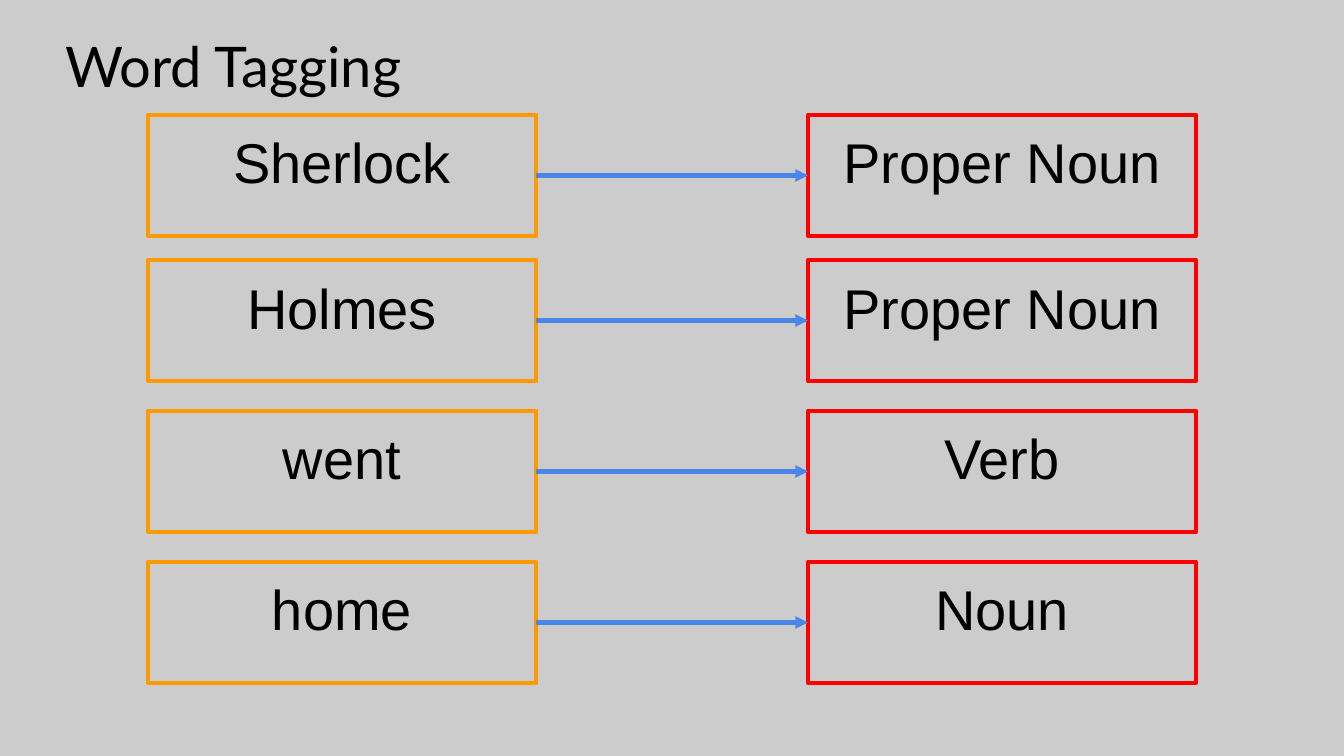
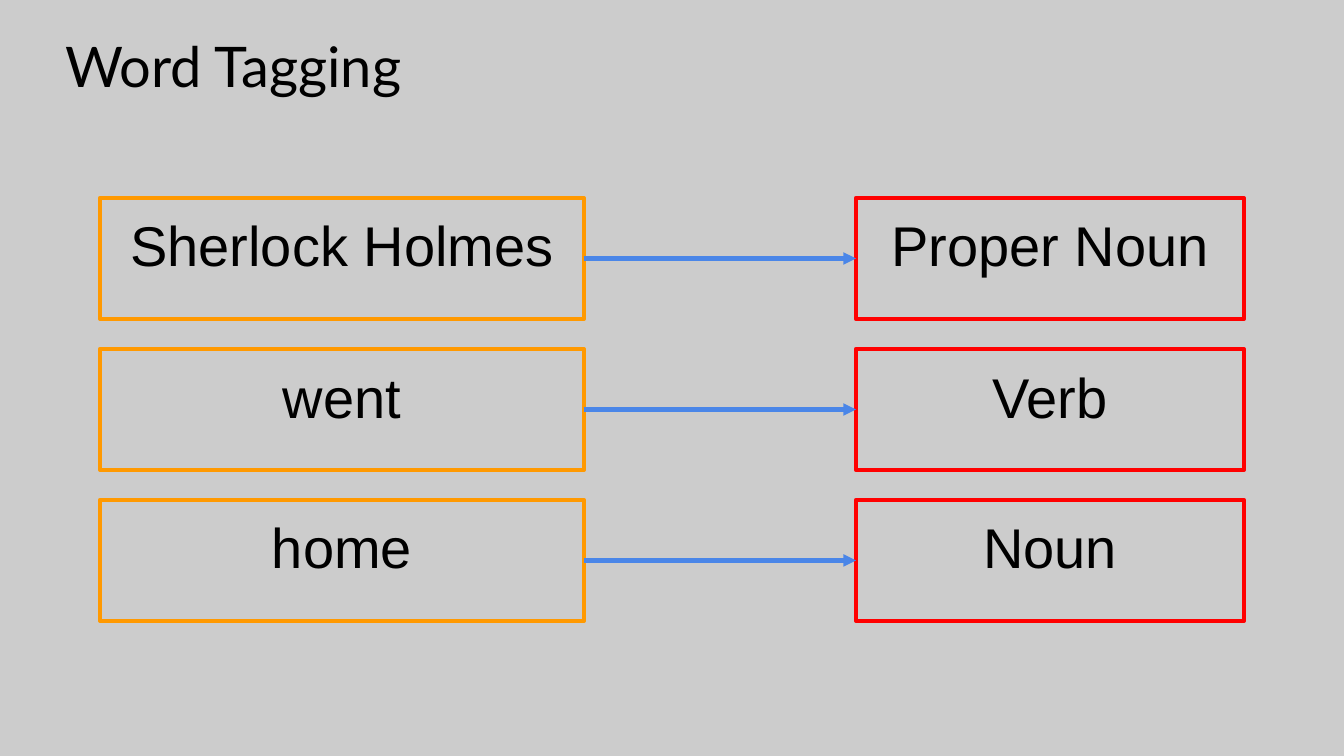
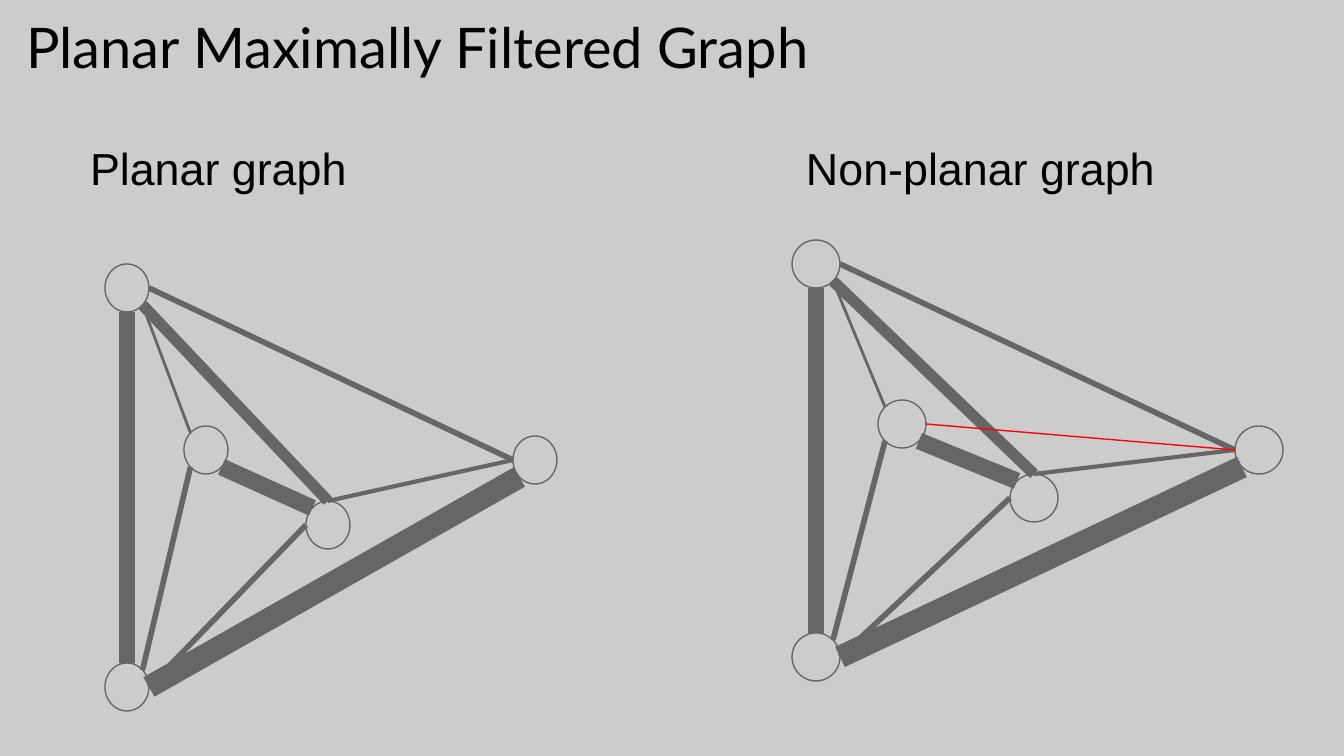
from math import cos, radians, sin

from pptx import Presentation
from pptx import util as u
from pptx.dml.color import RGBColor
from pptx.enum import shapes, text
from pptx.oxml.ns import qn
from lxml import etree

PX = 914400 / 134.4
SLIDE_SIZE = 1344, 756
GREY = RGBColor(0xCC, 0xCC, 0xCC)
DARK = RGBColor(0x66, 0x66, 0x66)
ORANGE = RGBColor(0xFF, 0x99, 0x00)
RED = RGBColor(0xFF, 0x00, 0x00)
BLUE = RGBColor(0x4A, 0x86, 0xE8)
BLACK = RGBColor(0x00, 0x00, 0x00)

INSET = 13
ROW_HEIGHT = 121
TAG_WIDTH = 388
COMPASS = {name: 45 * step for step, name in
           enumerate(("E", "SE", "S", "SW", "W", "NW", "N", "NE"))}
EDGES = [
    ("top", "SE", "middle", "NW", 1.5),
    ("right", "W", "hub", "N", 2.25),
    ("right", "W", "top", "E", 3),
    ("top", "S", "bottom", "N", 9),
    ("bottom", "NE", "middle", "SW", 3),
    ("bottom", "E", "hub", "W", 3),
    ("hub", "NW", "middle", "SE", 9),
    ("top", "SE", "hub", "N", 6),
    ("bottom", "E", "right", "SW", 12),
]


def px(length):
    """Convert pixels to EMU."""
    return u.Emu(round(length * PX))


def scaled(box):
    """Convert every length of a box to EMU."""
    return [px(length) for length in box]


def write(frame, words, size=30, font="Arial", align=text.PP_ALIGN.LEFT, before=None):
    """Put one formatted paragraph into a text frame."""
    frame.word_wrap = True
    frame.vertical_anchor = text.MSO_ANCHOR.TOP
    frame.margin_left = frame.margin_right = px(INSET)
    frame.margin_top = frame.margin_bottom = px(INSET)
    paragraph = frame.paragraphs[0]
    paragraph.alignment = align
    if before is not None:
        paragraph.space_before = u.Pt(before)
    run = paragraph.add_run()
    run.text = words
    run.font.size = u.Pt(size)
    run.font.name = font
    run.font.color.rgb = BLACK


def add_label(slide, box, words, **style):
    """Add a text box."""
    write(slide.shapes.add_textbox(*scaled(box)).text_frame, words, **style)


def add_outline(slide, kind, box, color, width):
    """Add an unshadowed preset shape with a coloured outline."""
    shape = slide.shapes.add_shape(kind, *scaled(box))
    shape.shadow.inherit = False
    shape.line.color.rgb = color
    shape.line.width = u.Pt(width)
    return shape


def add_word_box(slide, box, words, color):
    """Add an unfilled rectangle with a centred word."""
    rectangle = add_outline(slide, shapes.MSO_SHAPE.RECTANGLE, box, color, 2.25)
    rectangle.fill.background()
    write(rectangle.text_frame, words, align=text.PP_ALIGN.CENTER)
    return rectangle


def add_line(slide, start, end, color, width):
    """Add a straight connector without a shadow."""
    line = slide.shapes.add_connector(
        shapes.MSO_CONNECTOR.STRAIGHT, *scaled(start), *scaled(end))
    line.line.color.rgb = color
    line.line.width = u.Pt(width)
    etree.SubElement(line._element.spPr, qn("a:effectLst"))
    return line


def add_arrow(slide, source, target):
    """Join two rectangles with an arrow from right side to left side."""
    arrow = add_line(slide, (0, 0), (1, 1), BLUE, 2.25)
    arrow.begin_connect(source, 3)
    arrow.end_connect(target, 1)
    etree.SubElement(arrow.line._get_or_add_ln(), qn("a:tailEnd"), type="triangle")


def add_tag_row(slide, left, top, width, word_width, word, tag):
    """Place a word, its tag and the arrow between them."""
    source = add_word_box(slide, (left, top, word_width, ROW_HEIGHT), word, ORANGE)
    target = add_word_box(
        slide, (left + width - TAG_WIDTH, top, TAG_WIDTH, ROW_HEIGHT), tag, RED)
    add_arrow(slide, source, target)


def add_graph(slide, left, top, node_size, offsets, extra_edges=()):
    """Draw the nodes and weighted edges of a graph from its top left corner."""
    width, height = node_size
    nodes = {name: (left + x, top + y) for name, (x, y) in offsets.items()}

    def site(name, direction):
        """Find a compass point on a node's rim."""
        x, y = nodes[name]
        angle = radians(COMPASS[direction])
        return x + width / 2 * (1 + cos(angle)), y + height / 2 * (1 + sin(angle))

    for corner in nodes.values():
        node = add_outline(
            slide, shapes.MSO_SHAPE.OVAL, (*corner, width, height), DARK, 0.75)
        node.fill.solid()
        node.fill.fore_color.rgb = GREY
    colored = [(edge, DARK) for edge in EDGES] + [(edge, RED) for edge in extra_edges]
    for (start, leave, end, arrive, weight), color in colored:
        add_line(slide, site(start, leave), site(end, arrive), color, weight)


def add_slide(deck, title, box, **style):
    """Add a grey slide with a title."""
    slide = deck.slides.add_slide(deck.slide_layouts[6])
    slide.background.fill.solid()
    slide.background.fill.fore_color.rgb = GREY
    add_label(slide, box, title, font="Lato", **style)
    return slide


def add_tagging_slide(deck, left, word_width, rows):
    """Build a slide of tagged words, centred across the slide."""
    slide = add_slide(deck, "Word Tagging", (52, 19, 684, 121))
    for top, word, tag in rows:
        add_tag_row(slide, left, top, SLIDE_SIZE[0] - 2 * left, word_width, word, tag)


def add_graph_slide(deck):
    """Build the comparison of a planar and a non-planar graph."""
    slide = add_slide(
        deck, "Planar Maximally Filtered Graph", (13, 0, 993, 112), before=6)
    add_label(slide, (77, 128, 337, 95), "Planar graph", size=24)
    add_graph(slide, 105, 264, (44, 48), {
        "top": (0, 0), "middle": (79, 162), "right": (408, 172),
        "hub": (201, 237), "bottom": (0, 399)})
    add_label(slide, (793, 128, 474, 95), "Non-planar graph", size=24)
    add_graph(slide, 792, 240, (48, 48), {
        "top": (0, 0), "middle": (86, 160), "right": (443, 186),
        "hub": (218, 234), "bottom": (0, 393)},
        extra_edges=[("middle", "E", "right", "W", 0.75)])


def main():
    """Build and save the deck."""
    deck = Presentation()
    deck.slide_width, deck.slide_height = scaled(SLIDE_SIZE)
    add_tagging_slide(deck, 148, 388, [
        (115, "Sherlock", "Proper Noun"),
        (260, "Holmes", "Proper Noun"),
        (411, "went", "Verb"),
        (562, "home", "Noun")])
    add_tagging_slide(deck, 100, 484, [
        (198, "Sherlock Holmes", "Proper Noun"),
        (349, "went", "Verb"),
        (500, "home", "Noun")])
    add_graph_slide(deck)
    deck.save("out.pptx")


if __name__ == "__main__":
    main()
